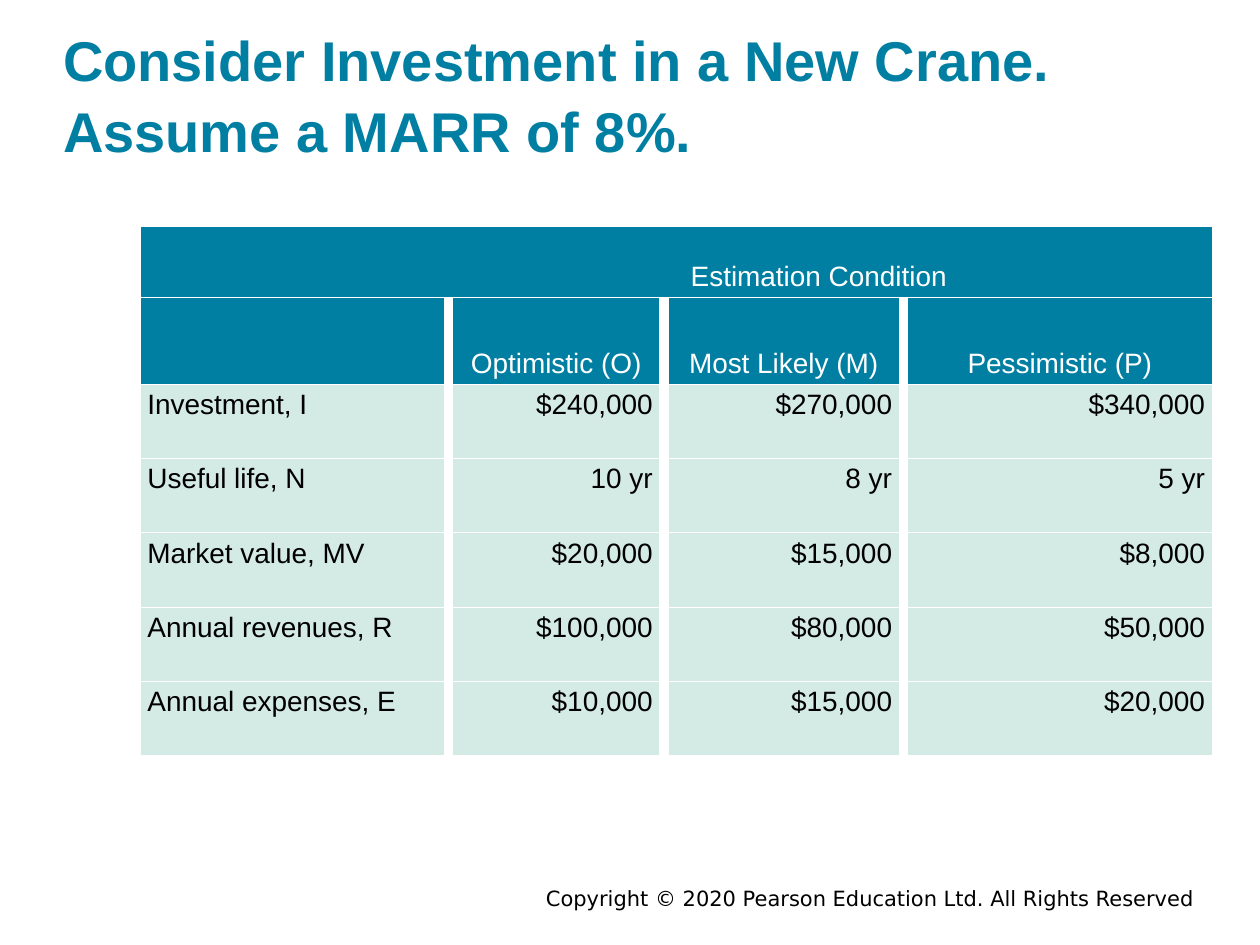
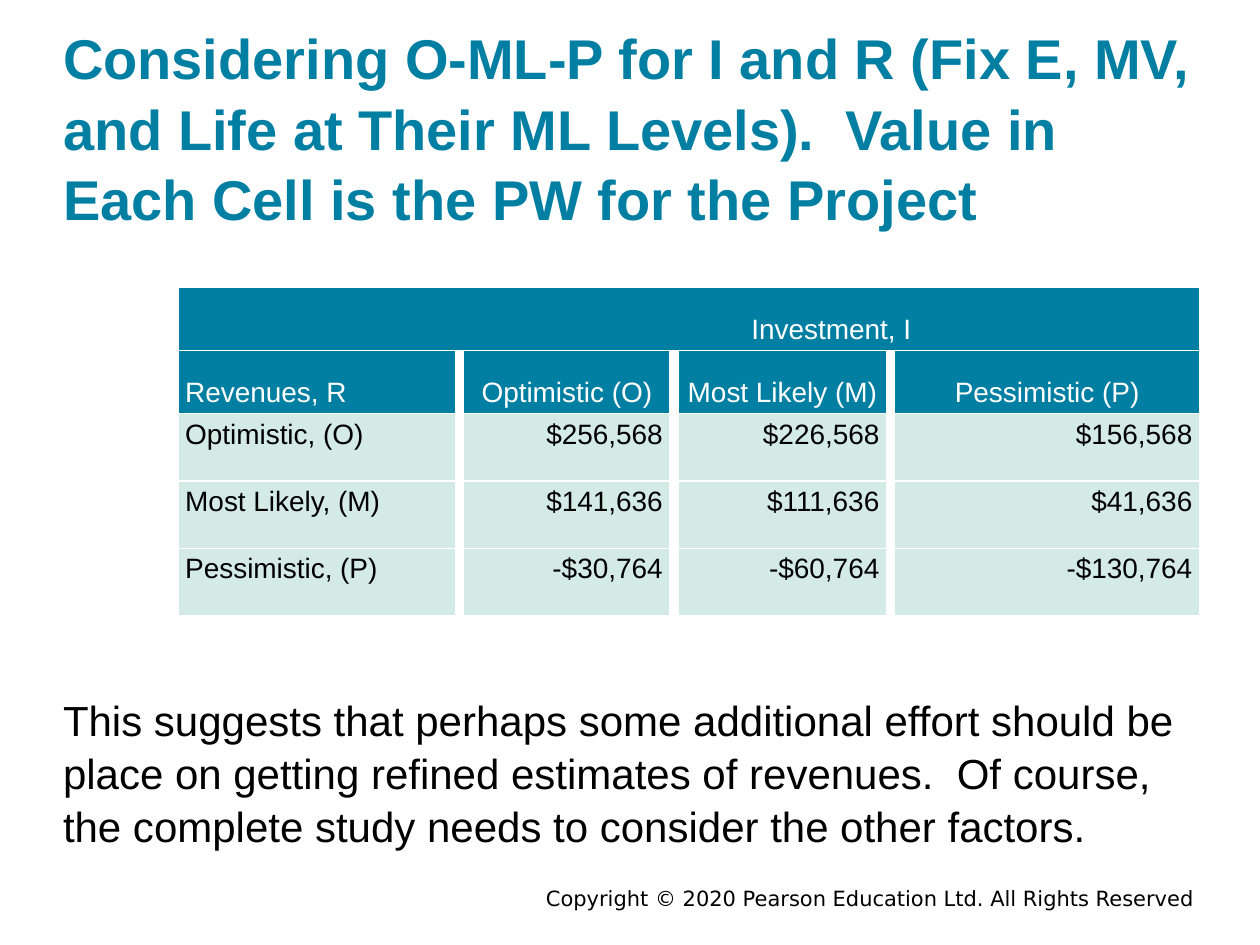
"""Build two slides on estimating the worth of a crane investment."""
from lxml.etree import SubElement
from pptx import Presentation
from pptx.dml.color import RGBColor
from pptx.enum.text import MSO_ANCHOR, MSO_AUTO_SIZE, PP_ALIGN
from pptx.oxml.ns import qn
from pptx.util import Pt

TEAL = RGBColor(0x00, 0x7F, 0xA3)
MINT = RGBColor(0xD4, 0xEA, 0xE4)
WHITE = RGBColor(0xFF, 0xFF, 0xFF)
BLACK = RGBColor(0x00, 0x00, 0x00)

FOOTER = "Copyright © 2020 Pearson Education Ltd. All Rights Reserved"
CONDITIONS = ["Optimistic (O)", "Most Likely (M)", "Pessimistic (P)"]
HEADING_INDENT = 169.5
BORDERS = {"lnL": 6, "lnR": 6, "lnT": 0.75, "lnB": 0.75}

SLIDES = [
    {
        "title": "Consider Investment in a New Crane.  Assume a MARR of 8%.",
        "title_height": 77,
        "table_at": (77.76, 129.6),
        "columns": [178.56, 123.12, 136.8, 125.28],
        "header_heights": [40.32, 49.68],
        "row_height": 42.48,
        "heading": "Estimation Condition",
        "corner": "",
        "rows": [
            ["Investment, I", "$240,000", "$270,000", "$340,000"],
            ["Useful life, N", "10 yr", "8 yr", "5 yr"],
            ["Market value, MV", "$20,000", "$15,000", "$8,000"],
            ["Annual revenues, R", "$100,000", "$80,000", "$50,000"],
            ["Annual expenses, E", "$10,000", "$15,000", "$20,000"],
        ],
        "body": None,
    },
    {
        "title": "Considering O-ML-P for I and R (Fix E, MV, and Life at Their "
                 "ML Levels).  Value in Each Cell is the PW for the Project",
        "title_height": 116,
        "table_at": (99.36, 164.5),
        "columns": [163.44, 122.4, 123.84, 119.52],
        "header_heights": [36, 36],
        "row_height": 38.4,
        "heading": "Investment, I",
        "corner": "Revenues, R",
        "rows": [
            ["Optimistic, (O)", "$256,568", "$226,568", "$156,568"],
            ["Most Likely, (M)", "$141,636", "$111,636", "$41,636"],
            ["Pessimistic, (P)", "-$30,764", "-$60,764", "-$130,764"],
        ],
        "body": "This suggests that perhaps some additional effort should be place on "
                "getting refined estimates of revenues.  Of course, the complete study "
                "needs to consider the other factors.",
    },
]


def write(frame, text, size, color, font="Arial", bold=False, align=PP_ALIGN.LEFT,
          spacing=1.0, plain=False):
    """Fill a text frame with one formatted paragraph."""
    para = frame.paragraphs[0]
    if plain:
        properties = para._p.get_or_add_pPr()
        properties.set("marL", "0")
        properties.set("indent", "0")
        SubElement(properties, qn("a:buNone"))
    para.alignment = align
    para.line_spacing = spacing
    para.space_before = Pt(0)
    span = para.add_run()
    span.text = text
    span.font.size = Pt(size)
    span.font.name = font
    span.font.bold = bold
    span.font.color.rgb = color


def place(box, left, top, width, height, anchor=MSO_ANCHOR.TOP):
    """Position a text box, drop its insets and return its frame."""
    box.left, box.top, box.width, box.height = map(Pt, (left, top, width, height))
    frame = box.text_frame
    frame.word_wrap = True
    frame.auto_size = MSO_AUTO_SIZE.NONE
    frame.margin_left = frame.margin_right = frame.margin_top = frame.margin_bottom = 0
    frame.vertical_anchor = anchor
    return frame


def style_cell(cell, fill, anchor):
    """Give a cell white borders, a fill and tight margins."""
    properties = cell._tc.get_or_add_tcPr()
    for side, width in BORDERS.items():
        line = SubElement(properties, qn(f"a:{side}"), w=str(Pt(width)))
        SubElement(SubElement(line, qn("a:solidFill")), qn("a:srgbClr"), val=str(WHITE))
    cell.fill.solid()
    cell.fill.fore_color.rgb = fill
    cell.margin_left = cell.margin_right = Pt(6.5)
    cell.margin_top = cell.margin_bottom = Pt(3)
    cell.vertical_anchor = anchor


def add_estimates(page, content):
    """Draw the table of estimates under its merged heading."""
    columns = content["columns"]
    heights = content["header_heights"] + [content["row_height"]] * len(content["rows"])
    grid = [[content["heading"], "", "", ""], [content["corner"]] + CONDITIONS]
    grid += content["rows"]
    left, top = content["table_at"]
    table = page.shapes.add_table(len(grid), len(columns), Pt(left), Pt(top),
                                  Pt(sum(columns)), Pt(sum(heights))).table
    for column, width in zip(table.columns, columns):
        column.width = Pt(width)
    for row, height in zip(table.rows, heights):
        row.height = Pt(height)
    for i, texts in enumerate(grid):
        header = i < 2
        for j, text in enumerate(texts):
            cell = table.cell(i, j)
            style_cell(cell, TEAL if header else MINT,
                       MSO_ANCHOR.BOTTOM if header else MSO_ANCHOR.TOP)
            if text:
                align = PP_ALIGN.CENTER if header else PP_ALIGN.RIGHT
                if i and not j:
                    align = PP_ALIGN.LEFT
                write(cell.text_frame, text, 16, WHITE if header else BLACK, align=align)
    heading = table.cell(0, 0)
    heading.merge(table.cell(0, len(columns) - 1))
    heading.margin_left = Pt(HEADING_INDENT)


def add_page(deck, content):
    """Add one slide with its title, table, optional body and footer."""
    page = deck.slides.add_slide(deck.slide_layouts[1 if content["body"] else 5])
    frame = place(page.shapes.title, 36, 16.5, 648, content["title_height"], MSO_ANCHOR.BOTTOM)
    write(frame, content["title"], 32, TEAL, bold=True, spacing=1.05)
    add_estimates(page, content)
    if content["body"]:
        frame = place(page.placeholders[1], 36, 395.5, 646.5, 87)
        write(frame, content["body"], 24, BLACK, spacing=1.05, plain=True)
    footer = page.shapes.add_textbox(0, 0, 0, 0)
    frame = place(footer, 204.5, 506, 478, 21.6)
    write(frame, FOOTER, 12, BLACK, font="DejaVu Sans", align=PP_ALIGN.RIGHT)


def main():
    """Create the deck and save it."""
    deck = Presentation()
    deck.slide_width, deck.slide_height = Pt(720), Pt(540)
    for content in SLIDES:
        add_page(deck, content)
    deck.save("out.pptx")


if __name__ == "__main__":
    main()
